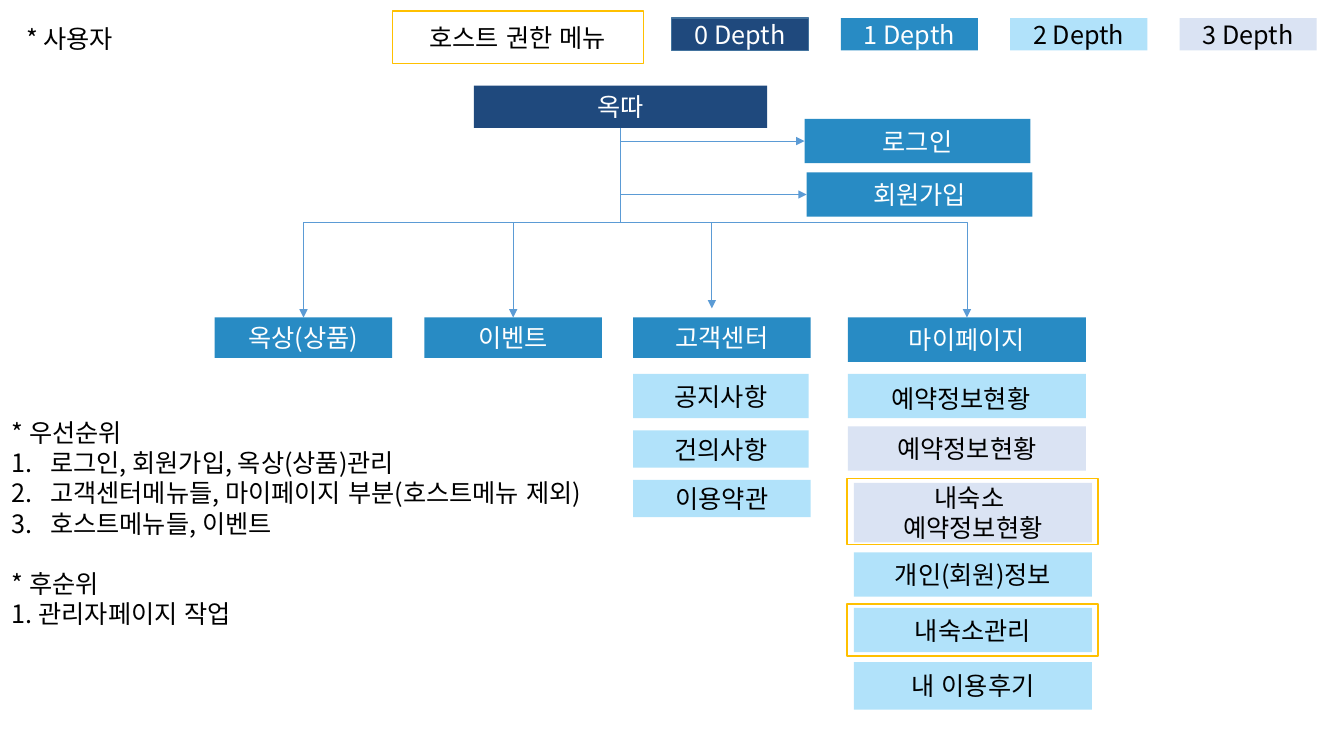
"""Build the user site map slide with its depth legend and priorities."""
from lxml.etree import SubElement
from pptx import Presentation
from pptx.dml.color import RGBColor
from pptx.enum.lang import MSO_LANGUAGE_ID as Lang
from pptx.enum.shapes import MSO_CONNECTOR as Link, MSO_SHAPE as Shape
from pptx.enum.text import MSO_ANCHOR as Anchor, MSO_AUTO_SIZE as Fit, PP_ALIGN as Align
from pptx.oxml.ns import qn
from pptx.util import Inches, Pt

THEME = {
    "font": "Noto Sans CJK KR", "size": 18, "text": "000000",
    "depths": [("1F497D", "FFFFFF"), ("288BC4", "FFFFFF"), ("B1E2FA", "000000"), ("DAE3F3", "000000")],
    "link": "5B9BD5", "host": "FFC000", "legend_edge": "43739E",
}

LEGEND = ["0 Depth", "1 Depth", "2 Depth", "3 Depth"]
LEGEND_LEFT, LEGEND_STEP = 6.66, 1.68
MENU_TOP = 3.15
ROOT = ("옥따", 0, 4.7, 0.85, 2.91, 0.42)
ACCOUNT = [("로그인", 1, 7.98, 1.18, 2.24, 0.44), ("회원가입", 1, 8, 1.71, 2.24, 0.44)]
MENUS = [
    ("옥상(상품)", 1, 2.13, MENU_TOP, 1.76, 0.4),
    ("이벤트", 1, 4.21, MENU_TOP, 1.76, 0.4),
    ("고객센터", 1, 6.28, MENU_TOP, 1.76, 0.4),
    ("마이페이지", 1, 8.41, MENU_TOP, 2.36, 0.44),
]
PAGES = [
    ("공지사항", 2, 6.28, 3.71, 1.74, 0.44),
    ("건의사항", 2, 6.28, 4.27, 1.74, 0.37),
    ("이용약관", 2, 6.28, 4.76, 1.76, 0.37),
    ("", 2, 8.41, 3.71, 2.36, 0.44),
    ("예약정보현황", 3, 8.41, 4.23, 2.36, 0.44),
    ("내숙소 \n예약정보현황", 3, 8.47, 4.79, 2.36, 0.59),
    ("개인(회원)정보", 2, 8.47, 5.48, 2.36, 0.44),
    ("내숙소관리", 2, 8.47, 6.03, 2.36, 0.44),
    ("내 이용후기", 2, 8.47, 6.57, 2.36, 0.47),
]
HOST_FRAMES = [
    ("호스트 권한 메뉴", 3.89, 0.11, 2.49, 0.52),
    ("", 8.4, 4.75, 2.49, 0.65),
    ("", 8.4, 5.99, 2.49, 0.52),
]
TRUNK = (6.15, 1.27)
MENU_LINKS = [
    (TRUNK, (3.01, MENU_TOP)),
    (TRUNK, (5.09, MENU_TOP)),
    ((6.15, 1.36), (7.06, 3.06)),
    (TRUNK, (9.59, MENU_TOP)),
]
NOTES = [
    (["* 사용자"], (0.16, 0.18, 1.16, 0.4), False),
    (["예약정보현황"], (8.74, 3.75, 1.91, 0.4), True),
    (["* 우선순위", "로그인, 회원가입, 옥상(상품)관리",
      "고객센터메뉴들, 마이페이지 부분(호스트메뉴 제외)", "호스트메뉴들, 이벤트",
      "* 후순위", "1. 관리자페이지 작업"], (0.02, 4.09, 6.36, 2.22), False),
]
NUMBERED = NOTES[2][0][1:4]
LATER = "* 후순위"


def rgb(value):
    return RGBColor.from_string(value)


def write(frame, lines, color, align):
    for index, line in enumerate(lines):
        paragraph = frame.paragraphs[0] if index == 0 else frame.add_paragraph()
        paragraph.alignment = align
        if line in NUMBERED:
            props = paragraph._p.get_or_add_pPr()
            for key, value in {"marL": Inches(0.38), "indent": -Inches(0.38)}.items():
                props.set(key, str(value))
            SubElement(props, qn("a:buFont"), typeface="+mj-lt")
            SubElement(props, qn("a:buAutoNum"), type="arabicPeriod")
        if line == LATER:
            paragraph.space_before = Pt(21.5)
        run = paragraph.add_run()
        run.text = line
        font_format = {"name": THEME["font"], "size": Pt(THEME["size"]), "language_id": Lang.KOREAN}
        for key, value in font_format.items():
            setattr(run.font, key, value)
        run.font.color.rgb = rgb(color)
        SubElement(run.font._element, qn("a:ea"), typeface=THEME["font"])


def add_box(slide, label, at, fill, edge, color):
    box = slide.shapes.add_shape(Shape.RECTANGLE, *map(Inches, at))
    box.shadow.inherit = False
    if fill:
        box.fill.solid()
        box.fill.fore_color.rgb = rgb(fill)
    else:
        box.fill.background()
    if edge:
        box.line.color.rgb = rgb(edge)
        box.line.width = Pt(1)
    else:
        box.line.fill.background()
    if label:
        box.text_frame.vertical_anchor = Anchor.MIDDLE
        write(box.text_frame, label.split("\n"), color, Align.CENTER)


def add_depth_box(slide, label, depth, *at, edge=None):
    fill, color = THEME["depths"][depth]
    add_box(slide, label, at, fill, edge, color)


def add_elbow(slide, start, end, preset):
    """Draw an arrow that leaves its start downwards."""
    (x1, y1), (x2, y2) = start, end
    drop, reach = y2 - y1, abs(x2 - x1)
    left, top = (x1 + x2 - drop) / 2, (y1 + y2 - reach) / 2
    elbow = slide.shapes.add_connector(
        Link.ELBOW, *map(Inches, (left, top, left + drop, top + reach)))
    elbow.line.color.rgb = rgb(THEME["link"])
    elbow.line.width = Pt(0.5)
    props = elbow._element.spPr
    turn = {"rot": "16200000", "flipH": "1"} if x2 > x1 else {"rot": "5400000"}
    for key, value in turn.items():
        props.find(qn("a:xfrm")).set(key, value)
    props.find(qn("a:prstGeom")).set("prst", preset)
    SubElement(props.find(qn("a:ln")), qn("a:tailEnd"), type="triangle")
    SubElement(props, qn("a:effectLst"))


def add_note(slide, lines, at, wrap):
    frame = slide.shapes.add_textbox(*map(Inches, at)).text_frame
    for key, value in {"word_wrap": wrap, "auto_size": Fit.SHAPE_TO_FIT_TEXT}.items():
        setattr(frame, key, value)
    write(frame, lines, THEME["text"], Align.LEFT)


def main():
    deck = Presentation()
    deck.slide_width, deck.slide_height = Inches(13.33), Inches(7.5)
    slide = deck.slides.add_slide(deck.slide_layouts[6])
    for depth, label in enumerate(LEGEND):
        edge = THEME["legend_edge"] if depth == 0 else None
        add_depth_box(slide, label, depth, LEGEND_LEFT + depth * LEGEND_STEP, 0.18, 1.36, 0.32, edge=edge)
    for entry in [ROOT, *ACCOUNT, *MENUS, *PAGES]:
        add_depth_box(slide, *entry)
    for start, end in MENU_LINKS:
        add_elbow(slide, start, end, "bentConnector3")
    for _, _, left, top, _, height in ACCOUNT:
        add_elbow(slide, TRUNK, (left, top + height / 2), "bentConnector2")
    for label, *at in HOST_FRAMES:
        add_box(slide, label, at, None, THEME["host"], THEME["text"])
    for lines, at, wrap in NOTES:
        add_note(slide, lines, at, wrap)
    deck.save("out.pptx")


if __name__ == "__main__":
    main()
